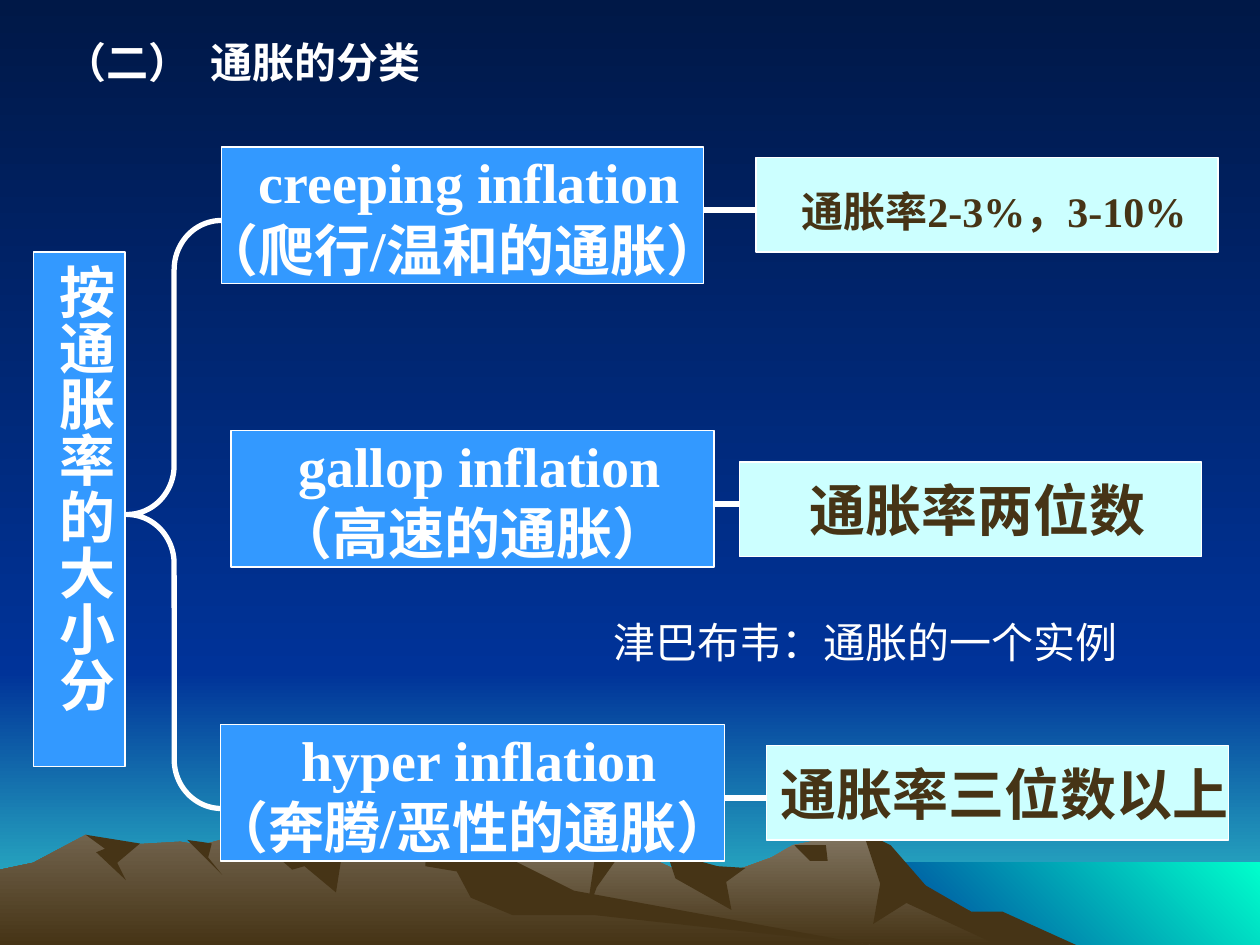
from lxml.etree import SubElement
from pptx import Presentation
from pptx.dml.color import RGBColor
from pptx.enum.shapes import MSO_CONNECTOR, MSO_SHAPE
from pptx.enum.text import MSO_ANCHOR, PP_ALIGN
from pptx.oxml.ns import qn
from pptx.util import Pt

NIGHT = RGBColor(0x00, 0x18, 0x47)
NAVY = RGBColor(0x00, 0x33, 0x99)
TEAL = RGBColor(0x33, 0xCC, 0xCC)
AQUA = RGBColor(0x00, 0xFF, 0xCC)
STONE = RGBColor(0x84, 0x78, 0x64)
EARTH = RGBColor(0x73, 0x65, 0x4F)
BROWN = RGBColor(0x46, 0x34, 0x16)
BLUE = RGBColor(0x33, 0x99, 0xFF)
PALE = RGBColor(0xCC, 0xFF, 0xFF)
WHITE = RGBColor(0xFF, 0xFF, 0xFF)
SERIF = "Times New Roman"
SANS = "Arial"


def paint_gradient(fill, start, end, angle):
    fill.gradient()
    fill.gradient_angle = angle
    for stop, color in zip(fill.gradient_stops, (start, end)):
        stop.color.rgb = color


def add_box(left, top, width, height, fill_color, lines, size, color, indent):
    shape = slide.shapes.add_shape(
        MSO_SHAPE.RECTANGLE, Pt(left), Pt(top), Pt(width), Pt(height))
    shape.shadow.inherit = False
    shape.fill.solid()
    shape.fill.fore_color.rgb = fill_color
    shape.line.color.rgb = WHITE
    shape.line.width = Pt(0.75)
    frame = shape.text_frame
    frame.word_wrap = False
    frame.vertical_anchor = MSO_ANCHOR.MIDDLE
    frame.text = "\n".join(lines)
    for paragraph in frame.paragraphs:
        paragraph.alignment = PP_ALIGN.CENTER
        paragraph.font.name = SERIF
        paragraph.font.size = Pt(size)
        paragraph.font.bold = True
        paragraph.font.color.rgb = color
    frame.paragraphs[0]._p.get_or_add_pPr().set("marL", str(Pt(indent)))
    return shape


presentation = Presentation()
presentation.slide_width = Pt(720)
presentation.slide_height = Pt(540)
slide = presentation.slides.add_slide(presentation.slide_layouts[6])
paint_gradient(slide.background.fill, NIGHT, NAVY, 270)

panels = [
    (0, 0, 720, 384, NIGHT, NAVY, 270),
    (0, 384, 720, 156, NAVY, TEAL, 270),
    (492, 493, 228, 47, NAVY, AQUA, 45),
]
for left, top, width, height, start, end, angle in panels:
    panel = slide.shapes.add_shape(
        MSO_SHAPE.RECTANGLE, Pt(left), Pt(top), Pt(width), Pt(height))
    panel.shadow.inherit = False
    panel.line.fill.background()
    paint_gradient(panel.fill, start, end, angle)

mountains = [
    (STONE, [(186, 540), (284, 493), (337, 474), (386, 497), (408, 502), (441, 490),
             (453, 483), (493, 475), (521, 503), (590, 540)]),
    (BROWN, [(493, 475), (509, 483), (529, 506), (555, 521), (573, 521), (615, 540),
             (570, 540), (518, 516), (499, 528), (503, 505)]),
    (BROWN, [(339, 474), (358, 483), (341, 507), (335, 523), (340, 490)]),
    (BROWN, [(381, 487), (410, 495), (426, 496), (415, 504), (418, 520), (386, 502)]),
    (BROWN, [(454, 483), (472, 483), (473, 492), (463, 492)]),
    (EARTH, [(0, 540), (0, 497), (19, 493), (49, 477), (68, 483), (103, 481),
             (115, 483), (147, 474), (161, 477), (170, 490), (195, 491), (238, 477),
             (255, 479), (311, 513), (497, 540)]),
    (BROWN, [(153, 474), (195, 491), (192, 510), (174, 495), (167, 497), (150, 482)]),
    (BROWN, [(244, 479), (255, 479), (296, 493), (328, 509), (497, 540), (340, 523),
             (293, 523), (269, 513), (261, 498), (243, 495)]),
    (BROWN, [(107, 480), (121, 482), (119, 490), (127, 500)]),
    (BROWN, [(49, 477), (80, 482), (67, 493), (72, 503), (55, 487), (60, 485)]),
]
for color, points in mountains:
    builder = slide.shapes.build_freeform(*points[0], scale=Pt(1))
    builder.add_line_segments(points[1:], close=True)
    mountain = builder.convert_to_shape()
    mountain.shadow.inherit = False
    mountain.line.fill.background()
    if color == BROWN:
        mountain.fill.solid()
        mountain.fill.fore_color.rgb = BROWN
    else:
        paint_gradient(mountain.fill, color, BROWN, 270)

captions = [
    (30, 24, 252, 48, "（二）\t通胀的分类", True),
    (343.5, 349, 302.5, 36, "津巴布韦：通胀的一个实例", False),
]
for left, top, width, height, text, is_title in captions:
    caption = slide.shapes.add_textbox(Pt(left), Pt(top), Pt(width), Pt(height))
    frame = caption.text_frame
    frame.word_wrap = is_title
    frame.text = text
    paragraph = frame.paragraphs[0]
    if is_title:
        frame.margin_top = Pt(0)
        paragraph.line_spacing = 0.9
        tab_list = SubElement(paragraph._p.get_or_add_pPr(), qn("a:tabLst"))
        SubElement(tab_list, qn("a:tab"), pos=str(Pt(83)), algn="l")
    paragraph.font.name = SANS
    paragraph.font.size = Pt(24)
    paragraph.font.bold = is_title
    paragraph.font.color.rgb = WHITE

basis = add_box(19, 144, 52.5, 294, BLUE, ["按通胀率的大小分"], 32, WHITE, 0)
basis_frame = basis.text_frame
basis_frame.vertical_anchor = MSO_ANCHOR.TOP
basis_frame.margin_left = basis_frame.margin_right = Pt(3.6)
basis_frame.margin_top = basis_frame.margin_bottom = Pt(7.2)
basis_frame._txBody.bodyPr.set("vert", "eaVert")

brace = slide.shapes.add_shape(MSO_SHAPE.LEFT_BRACE, Pt(72.5), Pt(126), Pt(54), Pt(336))
brace.shadow.inherit = False
brace.adjustments[0] = 0.52
brace.fill.background()
brace.line.color.rgb = WHITE
brace.line.width = Pt(3)

types = [
    (126.5, 275.5, ["creeping inflation", "（爬行/温和的通胀）"], 432, 90, "通胀率2-3%，3-10%", 24),
    (132, 276, ["gallop inflation", "（高速的通胀）"], 422.5, 264, "通胀率两位数", 32),
    (126, 288, ["hyper inflation", "（奔腾/恶性的通胀）"], 438, 426, "通胀率三位数以上", 32),
]
for index, (left, width, names, rate_left, rate_top, rate, size) in enumerate(types):
    top = 84 + 162 * index + (6 if index == 2 else 0)
    level = 120 + 168 * index
    add_box(left, [84, 246, 414][index], width, 78, BLUE, names, 32, WHITE, 8)
    link = slide.shapes.add_connector(
        MSO_CONNECTOR.STRAIGHT, Pt(left + width), Pt(level), Pt(rate_left), Pt(level))
    link.line.color.rgb = WHITE
    link.line.width = Pt(3)
    SubElement(link._element.spPr, qn("a:effectLst"))
    rate_box = add_box(rate_left, rate_top, 264, 54, PALE, [rate], size, BROWN, 8)
    if size == 24:
        rate_box.text_frame.margin_top = Pt(10)

presentation.save("out.pptx")
